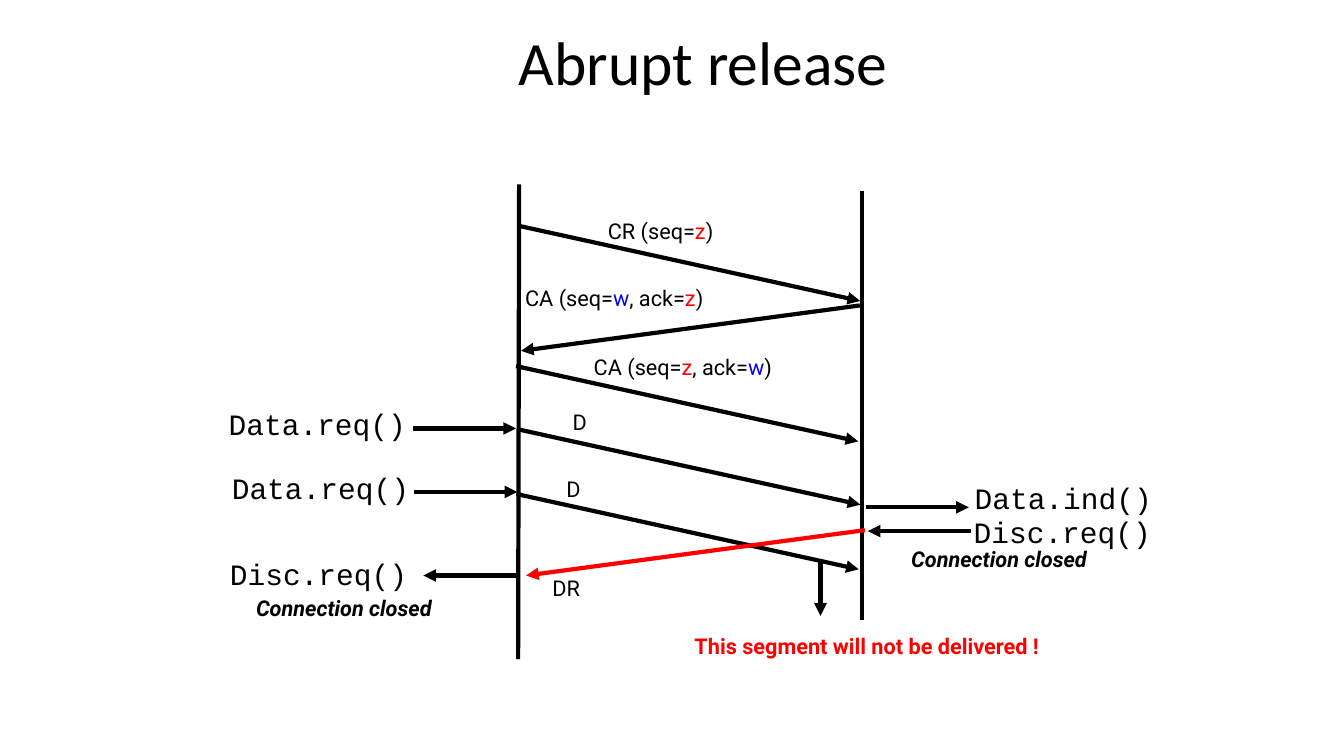
from lxml.etree import SubElement
from pptx import Presentation
from pptx.dml.color import RGBColor
from pptx.enum.shapes import MSO_CONNECTOR
from pptx.enum.text import MSO_ANCHOR, MSO_AUTO_SIZE
from pptx.oxml.ns import qn
from pptx.util import Pt

COLORS = {"black": "000000", "red": "FF0000", "blue": "0000FF"}
FORMATS = {
    "title": {"name": "Calibri", "size": Pt(44)},
    "segment": {"name": "Roboto", "size": Pt(15.5)},
    "primitive": {"name": "Courier New", "size": Pt(21.1)},
    "closed": {"name": "Roboto", "size": Pt(15.5), "bold": True, "italic": True},
    "warning": {"name": "Roboto", "size": Pt(15.5), "bold": True},
}

prs = Presentation()
prs.slide_width, prs.slide_height = Pt(960), Pt(540)
s = prs.slides.add_slide(prs.slide_layouts[6])


def add_line(x1, y1, x2, y2, color="black", arrow=True):
    line = s.shapes.add_connector(MSO_CONNECTOR.STRAIGHT, Pt(x1), Pt(y1), Pt(x2), Pt(y2))
    line.line.width = Pt(3)
    line.line.color.rgb = RGBColor.from_string(COLORS[color])
    if arrow:
        SubElement(line.line._get_or_add_ln(), qn("a:tailEnd"), type="triangle")
    SubElement(line._element.spPr, qn("a:effectLst"))


def add_label(x, y, w, h, runs, kind, spacing=0.84):
    """Add a one-line text box; runs is a list of (text, colour name)."""
    sp = s.shapes.add_textbox(Pt(x), Pt(y), Pt(w), Pt(h))
    tf = sp.text_frame
    tf.word_wrap = False
    tf.auto_size = MSO_AUTO_SIZE.SHAPE_TO_FIT_TEXT
    tf.vertical_anchor = MSO_ANCHOR.MIDDLE
    tf.margin_left = tf.margin_right = tf.margin_top = tf.margin_bottom = 0
    p = tf.paragraphs[0]
    p.line_spacing = spacing
    for text, color in runs:
        r = p.add_run()
        r.text = text
        r.font.color.rgb = RGBColor.from_string(COLORS[color])
        for attr, value in FORMATS[kind].items():
            setattr(r.font, attr, value)
    return tf


title = add_label(363.6, 0, 430.6, 95, [("Abrupt release", "black")], "title")
title.auto_size = MSO_AUTO_SIZE.NONE
title.word_wrap = True
title.margin_left = title.margin_right = Pt(7.2)

# Lifelines of the two hosts
add_line(370.8, 131.8, 370.1, 470.9, arrow=False)
add_line(615.6, 136.1, 615.6, 442.8, arrow=False)

# Segments: every one to the right, or to the left, has the same slope
RIGHT, LEFT = (244.4, 53.8), (-242, 32.4)
z, w = ("z", "red"), ("w", "blue")
ca, ack, end = ("CA (seq=", "black"), (", ack=", "black"), (")", "black")
segments = [
    # start x, start y, run, line colour, label x, label y, label width, label
    (370, 161.2, RIGHT, "black", 434.2, 158.4, 79.2, [("CR (seq=", "black"), z, end]),
    (614.2, 218.2, LEFT, "black", 375.1, 206.6, 130.3, [ca, w, ack, z, end]),
    (368.6, 261.5, RIGHT, "black", 424.1, 255.6, 131, [ca, z, ack, w, end]),
    (370.1, 306.7, RIGHT, "black", 409, 295.2, 15.8, [("D", "black")]),
    (369, 352.9, RIGHT, "black", 404.6, 342.7, 15.8, [("D", "black")]),
    (617.8, 378.7, LEFT, "red", 394.6, 413.3, 26.6, [("DR", "black")]),
]
for x, y, (dx, dy), color, label_x, label_y, label_w, runs in segments:
    add_line(x, y, x + dx, y + dy, color)
    add_label(label_x, label_y, label_w, 15.8, runs, "segment")

# Service primitives: text, its place, then arrow from and to
primitives = [
    ("Data.req()", 163.4, 293.8, 295.2, 306, 368.6),
    ("Data.req()", 165.6, 339.1, 295.9, 351.4, 369.4),
    ("Disc.req()", 164.2, 401, 369.4, 411.1, 302.4),
    ("Data.ind()", 696.2, 346.3, 618.5, 362.4, 692),
    ("Disc.req()", 695.5, 370.8, 693.4, 379.4, 619.9),
]
for text, x, y, x1, arrow_y, x2 in primitives:
    add_label(x, y, 127.4, 22.3, [(text, "black")], "primitive")
    add_line(x1, arrow_y, x2, arrow_y)

for x, y in [(650.9, 391), (182.9, 426.2)]:
    add_label(x, y, 139.7, 18, [("Connection closed", "black")], "closed", 0.97)

# Lost segment
add_line(586.1, 401, 586.1, 439.9)
add_label(496.1, 455, 263.5, 15.8,
          [("This segment will not be delivered !", "red")], "warning")

prs.save("out.pptx")
